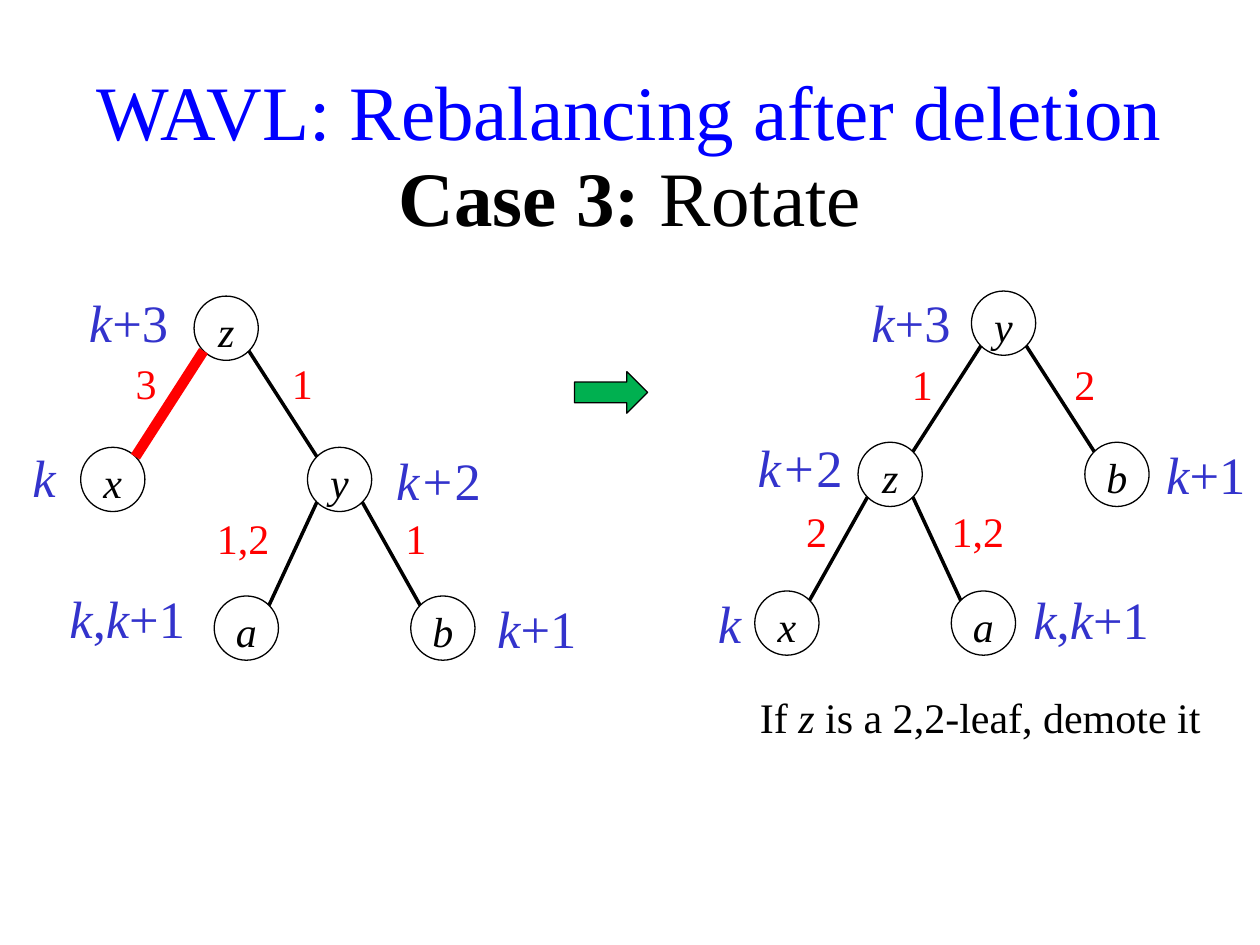
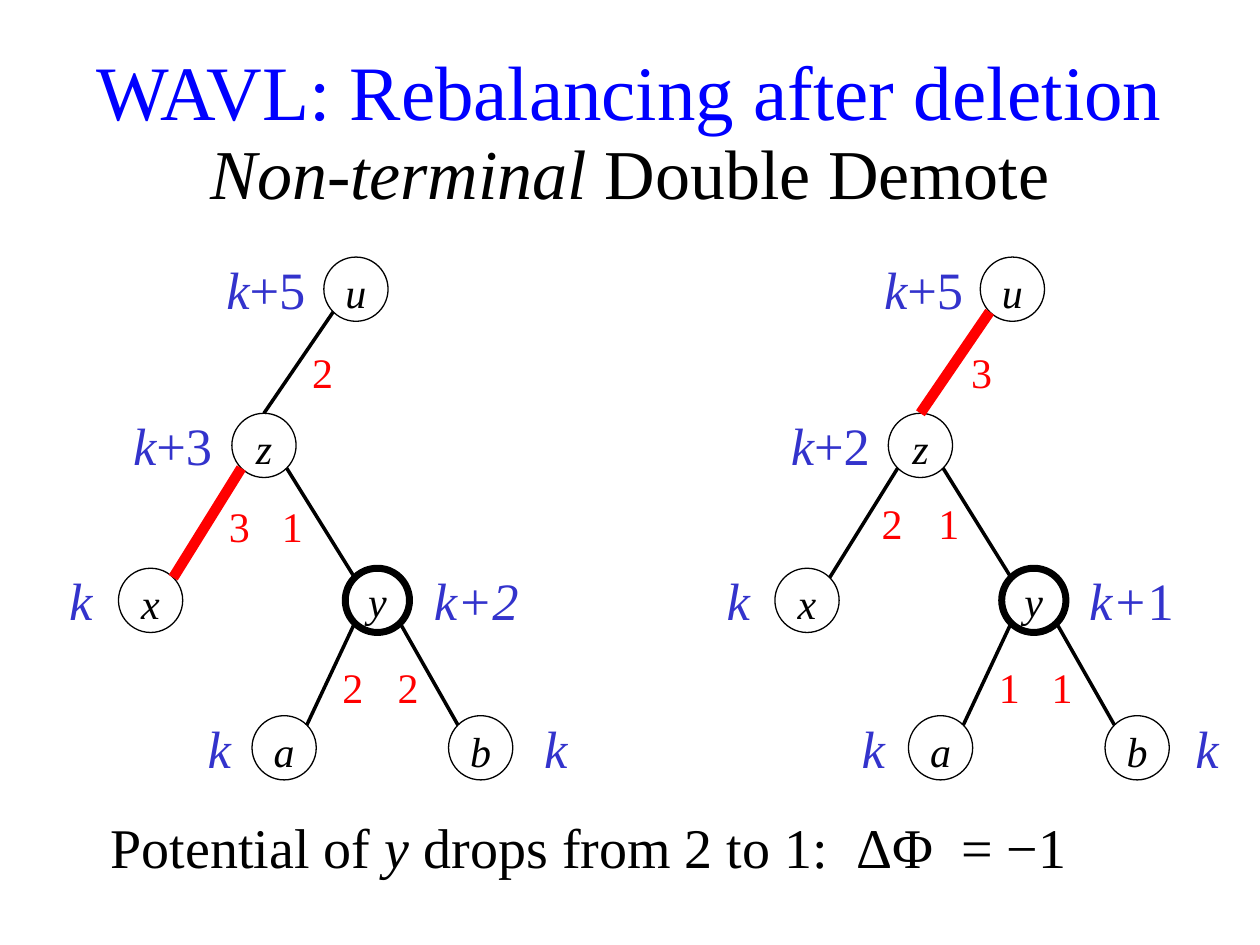
from pptx import Presentation, util as u
from pptx.dml import color
from pptx.enum import shapes, text
from pptx.oxml import xmlchemy as xml
from pptx.oxml.ns import qn
from lxml import etree

INK, RED, RANK, BLUE, GREEN = "000000", "FF0000", "3333CC", "0000FF", "00B050"
SIDE, DIAG = 0.51, 0.18
TOP, MID = text.MSO_ANCHOR.TOP, text.MSO_ANCHOR.MIDDLE
LEFT, MIDST = text.PP_ALIGN.LEFT, text.PP_ALIGN.CENTER


def hue(fmt, code):
    if hasattr(fmt, "solid"):
        fmt.solid()
        fmt = fmt.fore_color
    fmt.rgb = color.RGBColor.from_string(code)


def write(shape, words, size, code, mark="italic", align=MIDST, **frame):
    body = shape.text_frame
    look = {"word_wrap": True, "auto_size": text.MSO_AUTO_SIZE.NONE}
    for key, val in (look | frame).items():
        setattr(body, key, val)
    para = body.paragraphs[0]
    para.alignment = align
    for num, part in enumerate(words.split("_")):
        if part:
            run = para.add_run()
            run.text = part
            style = {"name": "Times New Roman", "size": u.Pt(size), mark: num % 2 == 1}
            for key, val in style.items():
                setattr(run.font, key, val)
            hue(run.font.color, code)
    return para


deck = Presentation()
deck.slide_width, deck.slide_height = u.Inches(10), u.Inches(7.5)

heads = [
    (0.36, "_Case 3:_ Rotate", 44, "bold", 1.14, 0.84),
    (0.2, "_Non-terminal_ Double Demote", 40, "italic", 0.98, 0.77),
]
pages = []
for top, sub, size, mark, down, high in heads:
    page = deck.slides.add_slide(deck.slide_layouts[5])
    title = page.shapes.title
    place = {"left": 0, "top": top, "width": 10, "height": 1.02}
    for key, val in place.items():
        setattr(title, key, u.Inches(val))
    write(title, "WAVL: Rebalancing after deletion", 44, BLUE, vertical_anchor=MID)
    box = page.shapes.add_textbox(0, u.Inches(down), u.Inches(10), u.Inches(high))
    write(box, sub, size, INK, mark)
    pages.append(page)

spots = [
    [(1.54, 2.35), (0.64, 3.55), (2.44, 3.55), (1.7, 4.73), (3.26, 4.73)],
    [(1.84, 3.28), (0.94, 4.51), (2.74, 4.51), (2, 5.68), (3.56, 5.68), (2.57, 2.04)],
]
edges = [(0, 1), (0, 2), (2, 3), (2, 4), (5, 0)]

trees = [
    (0, "zxyab", 0, 1, 0, (0, 1), "",
     [("_k_+3", 1.02, 2.25), ("_k_", 0.35, 3.48), ("_k+_2", 3.48, 3.51),
      ("_k_,_k_+1", 1.01, 4.6), ("_k_+1", 4.26, 4.68)],
     [("3", 1.16, 2.79), ("1", 2.4, 2.79), ("1,2", 1.93, 4.02), ("1", 3.3, 4.02)]),
    (0, "ybzax", 9.25, -1, -0.04, None, "",
     [("_k_+3", 7.23, 2.25), ("_k_+1", 9.57, 3.46), ("_k+_2", 6.35, 3.4),
      ("_k_,_k_+1", 8.66, 4.61), ("_k_", 5.79, 4.64)],
     [("1", 7.32, 2.8), ("2", 8.61, 2.8), ("1,2", 7.76, 3.96), ("2", 6.48, 3.96)]),
    (1, "zxyabu", 0, 1, 0, (0, 1), "y",
     [("_k_+5", 2.11, 1.99), ("_k_+3", 1.37, 3.23), ("_k_", 0.64, 4.46),
      ("_k+2_", 3.78, 4.46), ("_k_", 1.74, 5.63), ("_k_", 4.41, 5.63)],
     [("2", 2.56, 2.7), ("3", 1.9, 3.92), ("1", 2.32, 3.92),
      ("2", 2.8, 5.2), ("2", 3.24, 5.2)]),
    (1, "zxyabu", 5.21, 1, 0, (5, 0), "y",
     [("_k_+5", 7.33, 1.99), ("_k_+2", 6.59, 3.23), ("_k_", 5.86, 4.46),
      ("_k+_1", 8.98, 4.46), ("_k_", 6.93, 5.63), ("_k_", 9.58, 5.63)],
     [("3", 7.79, 2.7), ("2", 7.08, 3.9), ("1", 7.53, 3.9),
      ("1", 8.01, 5.2), ("1", 8.43, 5.2)]),
]

for side, names, base, sign, drop, hot, bold, ranks, gaps in trees:
    art = pages[side].shapes
    mids = []
    for name, (x, y) in zip(names, spots[side]):
        x, y = base + sign * x, y + drop
        mids.append((x + SIDE / 2, y + SIDE / 2))
        node = art.add_shape(shapes.MSO_SHAPE.OVAL, u.Inches(x), u.Inches(y),
                             u.Inches(SIDE), u.Inches(SIDE))
        node.shadow.inherit = False
        node.fill.background()
        hue(node.line.fill, INK)
        node.line.width = u.Pt(4 if name == bold else 0.75)
        write(node, f"_{name}_", 24, INK, vertical_anchor=MID if name == bold else TOP,
              margin_left=0, margin_right=0, margin_top=0, margin_bottom=0)

    for edge in edges:
        if max(edge) >= len(mids):
            continue
        (px, py), (cx, cy) = mids[edge[0]], mids[edge[1]]
        step = DIAG if cx > px else -DIAG
        end = (cx - step, cy - DIAG) if edge[1] else (cx, cy - SIDE / 2)
        wire = art.add_connector(shapes.MSO_CONNECTOR.STRAIGHT, u.Inches(px + step),
                                 u.Inches(py + DIAG), *map(u.Inches, end))
        hue(wire.line.fill, RED if edge == hot else INK)
        wire.line.width = u.Pt(6 if edge == hot else 2)
        etree.SubElement(wire._element.spPr, qn("a:effectLst"))

    for tags, size, code, high in [(ranks, 30, RANK, 0.61), (gaps, 24, RED, 0.5)]:
        for words, mid, top in tags:
            wide = 0.25 + 0.2 * len(words.replace("_", ""))
            tag = art.add_textbox(u.Inches(mid - wide / 2), u.Inches(top),
                                  u.Inches(wide), u.Inches(high))
            write(tag, words, size, code, word_wrap=False)

art = pages[0].shapes
arrow = art.add_shape(shapes.MSO_SHAPE.RIGHT_ARROW, u.Inches(4.56), u.Inches(2.95),
                      u.Inches(0.58), u.Inches(0.33))
arrow.shadow.inherit = False
hue(arrow.fill, GREEN)
hue(arrow.line.fill, INK)
arrow.line.width = u.Pt(0.75)
note = art.add_textbox(u.Inches(5.82), u.Inches(5.44), u.Inches(3.92), u.Inches(0.5))
write(note, "If _z_ is a 2,2-leaf, demote it", 24, INK, word_wrap=False)

note = pages[1].shapes.add_textbox(u.Inches(0.78), u.Inches(6.4), u.Inches(9), u.Inches(0.64))
para = write(note, "Potential of _y_ drops from 2 to 1:\tΔΦ\t= −1", 32, INK, align=LEFT)
tabs = etree.SubElement(para._p.get_or_add_pPr(), qn("a:tabLst"))
for stop in (5.92, 6.75):
    etree.SubElement(tabs, qn("a:tab"), pos=str(u.Inches(stop)), algn="l")

deck.save("out.pptx")
